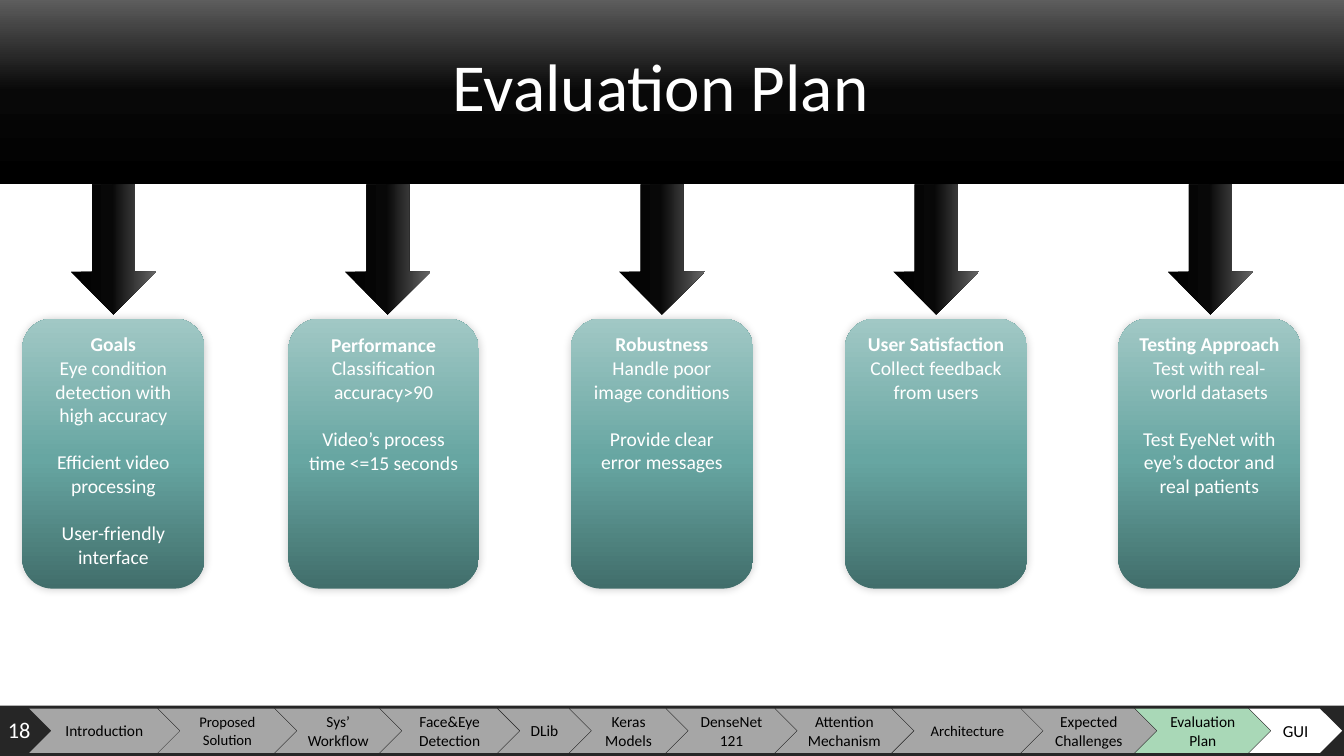
"""Build the Evaluation Plan slide with its five goal cards and step bar."""
from copy import deepcopy
from dataclasses import dataclass

from lxml.etree import SubElement
from pptx import Presentation
from pptx.dml.color import RGBColor as RGB
from pptx.enum.shapes import MSO_SHAPE as Kind
from pptx.enum.text import MSO_ANCHOR as Anchor, PP_ALIGN as Align
from pptx.oxml.ns import qn
from pptx.shapes.autoshape import Shape
from pptx.slide import Slide
from pptx.text.text import TextFrame
from pptx.util import Inches, Pt

HUES = {
    "bar": "262626", "step": "A6A6A6", "live": "A9D8B7",
    "white": "FFFFFF", "black": "000000",
}
DARK = {0: "000000", 0.48: "080808", 1: "666666"}
TEAL = {0: "416E6B", 0.48: "67A6A2", 1: "A1C8C5"}
PITCH = 2.72
LAP = 0.21


@dataclass
class Box:
    left: float
    top: float
    width: float
    height: float


@dataclass
class Card:
    left: float
    head: str
    notes: list[str]
    width: float = 1.81


@dataclass
class Step:
    text: str
    width: float
    size: float = 11
    hue: str = "step"


CARDS = [
    Card(0.22, "Goals", ["Eye condition detection with high accuracy",
                         "Efficient video processing",
                         "User-friendly interface"]),
    Card(2.86, "Performance", ["Classification accuracy>90",
                               "Video’s process time <=15 seconds"], 1.89),
    Card(5.66, "Robustness", ["Handle poor image conditions",
                              "Provide clear error messages"]),
    Card(8.38, "User Satisfaction", ["Collect feedback from users"]),
    Card(11.09, "Testing Approach", ["Test with real-world datasets",
                                     "Test EyeNet with eye’s doctor and real patients"]),
]
STEPS = [
    Step("Introduction", 1.49),
    Step("Proposed Solution", 1.37, 10.5),
    Step("Sys’ Workflow", 1.25),
    Step("Face&Eye Detection", 1.38),
    Step("DLib", 0.92),
    Step("Keras Models", 1.17),
    Step("DenseNet121", 1.29),
    Step("Attention Mechanism", 1.37),
    Step("Architecture", 1.49, 10.5),
    Step("Expected Challenges", 1.34),
    Step("Evaluation Plan", 1.34, 11, "live"),
    Step("GUI", 0.92, 12, "white"),
]


def place(box: Box) -> list[int]:
    """Return the box edges as lengths."""
    return [Inches(n) for n in (box.left, box.top, box.width, box.height)]


def draw(slide: Slide, kind: Kind, box: Box, turn: float = 0) -> Shape:
    """Add a bare shape with no line or shadow."""
    shape = slide.shapes.add_shape(kind, *place(box))
    shape.rotation = turn
    shape.shadow.inherit = False
    shape.line.fill.background()
    return shape


def paint(shape: Shape, hue: str) -> None:
    """Fill a shape with one colour."""
    shape.fill.solid()
    shape.fill.fore_color.rgb = RGB.from_string(HUES[hue])


def blend(shape: Shape, ramp: dict[float, str], angle: float) -> None:
    """Fill a shape with a three-stop gradient."""
    shape.fill.gradient()
    shape.fill.gradient_angle = angle
    stops = shape.element.spPr.find(".//" + qn("a:gsLst"))
    stops.append(deepcopy(stops[0]))
    for stop, (spot, tone) in zip(shape.fill.gradient_stops, ramp.items()):
        stop.position = spot
        stop.color.rgb = RGB.from_string(tone)


def glow(shape: Shape) -> None:
    """Add a soft shadow around a shape."""
    root = shape.element.spPr.find(qn("a:effectLst"))
    soft = SubElement(root, qn("a:outerShdw"), blurRad=str(Pt(6)), dist="0",
                      dir="18900000", algn="ctr", rotWithShape="0")
    tone = SubElement(soft, qn("a:srgbClr"), val=HUES["black"])
    SubElement(tone, qn("a:alpha"), val="20000")


def write(frame: TextFrame, text: str, size: float, hue: str,
          align: Align = Align.CENTER, bold: bool = False, gap: float = 0) -> None:
    """Write one paragraph, using the first one while it is empty."""
    para = frame.add_paragraph() if frame.text else frame.paragraphs[0]
    frame.word_wrap = True
    para.text = text
    for name, value in {"alignment": align, "space_before": Pt(gap)}.items():
        setattr(para, name, value)
    font = para.runs[0].font
    for name, value in {"name": "Calibri", "size": Pt(size), "bold": bold}.items():
        setattr(font, name, value)
    font.color.rgb = RGB.from_string(HUES[hue])


def label(slide: Slide, box: Box, text: str, size: float) -> None:
    """Add a left-aligned white text box."""
    frame = slide.shapes.add_textbox(*place(box)).text_frame
    write(frame, text, size, "white", Align.LEFT)


def add_card(slide: Slide, card: Card) -> None:
    """Add a teal card with a heading and notes."""
    shape = draw(slide, Kind.ROUNDED_RECTANGLE, Box(card.left, 3.16, card.width, 2.68))
    blend(shape, TEAL, 90)
    glow(shape)
    frame = shape.text_frame
    frame.vertical_anchor = Anchor.TOP
    write(frame, card.head, 14, "white", bold=True)
    for rank, note in enumerate(card.notes):
        write(frame, note, 14, "white", gap=17 if rank else 0)


def add_step(slide: Slide, step: Step, left: float) -> None:
    """Add one chevron of the step bar."""
    shape = draw(slide, Kind.CHEVRON, Box(left, 7.03, step.width, 0.44))
    paint(shape, step.hue)
    shape.text_frame.vertical_anchor = Anchor.MIDDLE
    write(shape.text_frame, step.text, step.size, "black")


def main() -> None:
    """Build and save the slide."""
    deck = Presentation()
    deck.slide_width, deck.slide_height = Inches(13.33), Inches(7.5)
    slide = deck.slides.add_slide(deck.slide_layouts[6])
    paint(draw(slide, Kind.RECTANGLE, Box(0, 7, 13.33, 0.5)), "bar")
    banner = draw(slide, Kind.ROUNDED_RECTANGLE, Box(5.71, -6.17, 1.93, 14.07), 90)
    blend(banner, DARK, 180)
    label(slide, Box(4.39, 0.39, 5.4, 0.91), "Evaluation Plan", 48)
    for rank, card in enumerate(CARDS):
        arrow = draw(slide, Kind.RIGHT_ARROW,
                     Box(0.48 + rank * PITCH, 2.05, 1.29, 0.85), 90)
        blend(arrow, DARK, 90)
        add_card(slide, card)
    left = 0.29
    for step in STEPS:
        add_step(slide, step, left)
        left += step.width - LAP
    label(slide, Box(-0.02, 7.06, 0.52, 0.37), "18", 16)
    deck.save("out.pptx")


if __name__ == "__main__":
    main()
